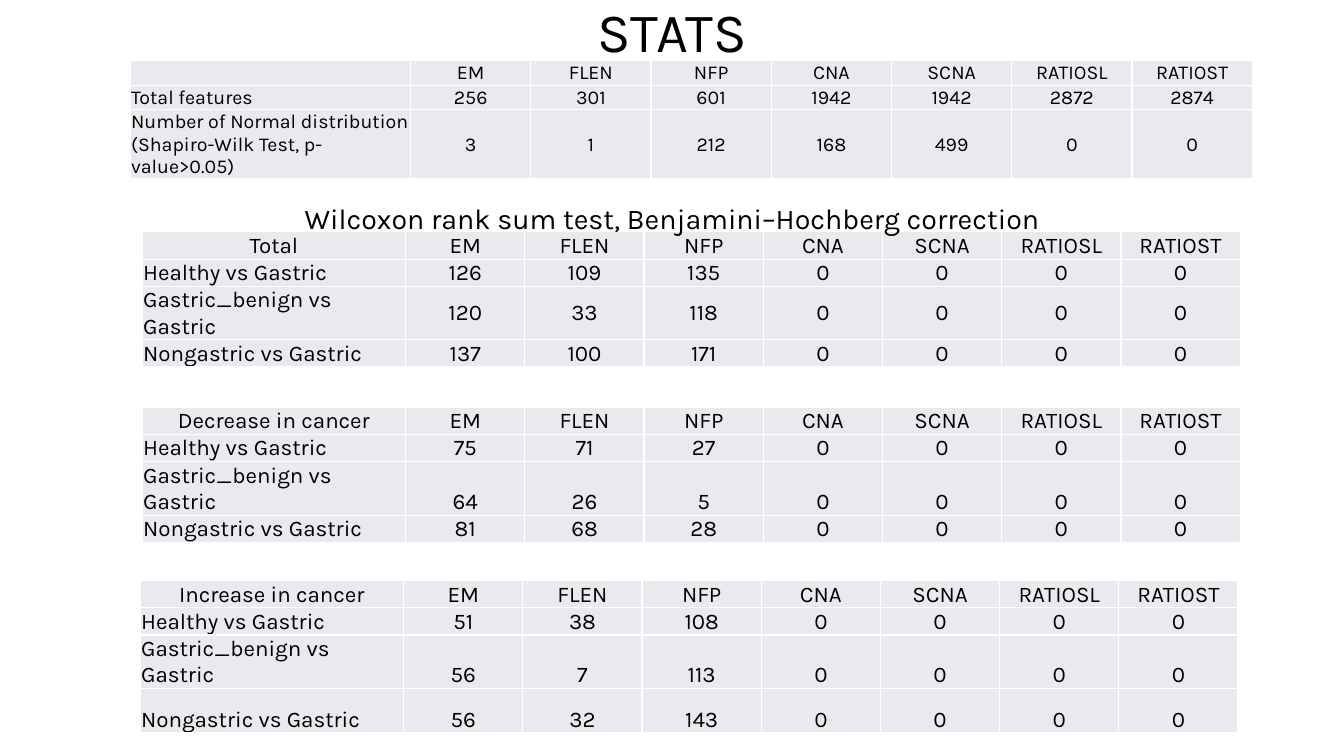
from lxml import etree
from pptx import Presentation
from pptx.dml.color import RGBColor
from pptx.enum.text import MSO_ANCHOR, MSO_AUTO_SIZE, PP_ALIGN
from pptx.oxml.ns import qn
from pptx.util import Inches, Pt

LEFT, CENTER = PP_ALIGN.LEFT, PP_ALIGN.CENTER
MIDDLE, BOTTOM = MSO_ANCHOR.MIDDLE, MSO_ANCHOR.BOTTOM
BLACK = RGBColor(0x00, 0x00, 0x00)
WHITE = RGBColor(0xFF, 0xFF, 0xFF)
CELL_GRAY = RGBColor(0xE8, 0xEA, 0xED)
FONT = "Karla"

SLIDE_W, SLIDE_H = Inches(13.33), Inches(7.5)
COL, ROW = SLIDE_W / 100, SLIDE_H / 100  # grid of 100 columns by 100 rows

METRICS = ["EM", "FLEN", "NFP", "CNA", "SCNA", "RATIOSL", "RATIOST"]
FEATURE_COUNTS = [
    ("Total features", [256, 301, 601, 1942, 1942, 2872, 2874]),
    ("Number of Normal distribution (Shapiro-Wilk Test, p-value>0.05)",
     [3, 1, 212, 168, 499, 0, 0]),
]
COMPARISONS = ["Healthy vs Gastric", "Gastric_benign vs Gastric", "Nongastric vs Gastric"]
TOTAL = [[126, 109, 135], [120, 33, 118], [137, 100, 171]]
DECREASE = [[75, 71, 27], [64, 26, 5], [81, 68, 28]]
INCREASE = [[51, 38, 108], [56, 7, 113], [56, 32, 143]]


def on_grid(box):
    """Turn a box in grid columns and rows into slide lengths."""
    x, y, w, h = box
    return round(x * COL), round(y * ROW), round(w * COL), round(h * ROW)


def write(frame, text, size, align=CENTER, spacing=None):
    paragraph = frame.paragraphs[0]
    paragraph.alignment = align
    if spacing:
        paragraph.line_spacing = spacing
    if not text:  # an empty cell still needs its text height
        etree.SubElement(paragraph._p, qn("a:endParaRPr"), sz=str(size * 100))
        return
    run = paragraph.add_run()
    run.text = text
    run.font.name = FONT
    run.font.size = Pt(size)
    run.font.color.rgb = BLACK


def style_cell(cell, anchor):
    cell.margin_left = cell.margin_right = cell.margin_top = Inches(0.01)
    cell.margin_bottom = 0
    cell.vertical_anchor = anchor
    properties = cell._tc.get_or_add_tcPr()
    for side in ("a:lnL", "a:lnR", "a:lnT", "a:lnB"):
        border = etree.SubElement(properties, qn(side), w=str(Pt(1)))
        fill = etree.SubElement(border, qn("a:solidFill"))
        etree.SubElement(fill, qn("a:srgbClr"), val=str(WHITE))
    cell.fill.solid()
    cell.fill.fore_color.rgb = CELL_GRAY


def add_heading(slide, box, text, size, spacing, holder=None):
    """Write a centred heading in the given placeholder or a new text box."""
    x, y, w, h = on_grid(box)
    shape = holder or slide.shapes.add_textbox(x, y, w, h)
    shape.left, shape.top, shape.width, shape.height = x, y, w, h
    frame = shape.text_frame
    frame.word_wrap = True
    frame.auto_size = MSO_AUTO_SIZE.NONE
    frame.vertical_anchor = MIDDLE
    write(frame, text, size, spacing=spacing)


def add_metric_table(slide, box, corner, records, row_heights, size=16,
                     label_share=0.24, label_anchor=BOTTOM, value_anchor=BOTTOM):
    x, y, w, h = on_grid(box)
    rows = [(corner, METRICS)] + records
    holder = slide.shapes.add_table(len(rows), len(METRICS) + 1, x, y, w, h)
    table = holder.table
    table.first_row = table.horz_banding = False
    label_width = round(w * label_share)
    for index, column in enumerate(table.columns):
        column.width = round((w - label_width) / len(METRICS)) if index else label_width
    for row, height in zip(table.rows, row_heights):
        row.height = round(height * ROW)
    holder.height = h
    for r, (label, values) in enumerate(rows):
        for c, value in enumerate([label, *values]):
            cell = table.cell(r, c)
            style_cell(cell, value_anchor if c else label_anchor)
            write(cell.text_frame, str(value), size, LEFT if r and not c else CENTER)


def add_comparison_table(slide, box, corner, counts, row_heights, anchor=BOTTOM):
    """Add a table of group comparisons, where the last four metrics are all zero."""
    records = [(name, found + [0] * (len(METRICS) - len(found)))
               for name, found in zip(COMPARISONS, counts)]
    add_metric_table(slide, box, corner, records, row_heights,
                     label_anchor=anchor, value_anchor=anchor)


def main():
    deck = Presentation()
    deck.slide_width, deck.slide_height = SLIDE_W, SLIDE_H
    slide = deck.slides.add_slide(deck.slide_layouts[5])
    add_heading(slide, (6.9, 2, 86.25, 5.2), "STATS", 39.6, 0.9, slide.shapes.title)
    add_comparison_table(slide, (10.58, 30.67, 81.7, 21.87), "Total", TOTAL,
                         [2.8] * 4, MIDDLE)
    add_metric_table(slide, (9.68, 8, 83.5, 19.07), "", FEATURE_COUNTS, [2.8] * 3,
                     size=14, label_share=0.25, value_anchor=MIDDLE)
    add_heading(slide, (7.88, 27.2, 84.25, 4.53),
                "Wilcoxon rank sum test, Benjamini–Hochberg correction", 20.4, 0.7)
    add_comparison_table(slide, (10.58, 53.87, 81.7, 21.87), "Decrease in cancer",
                         DECREASE, [2.8] * 4)
    add_comparison_table(slide, (10.43, 76.8, 81.7, 21.87), "Increase in cancer",
                         INCREASE, [3.07, 3.07, 5.87, 5.87])
    deck.save("out.pptx")


if __name__ == "__main__":
    main()
